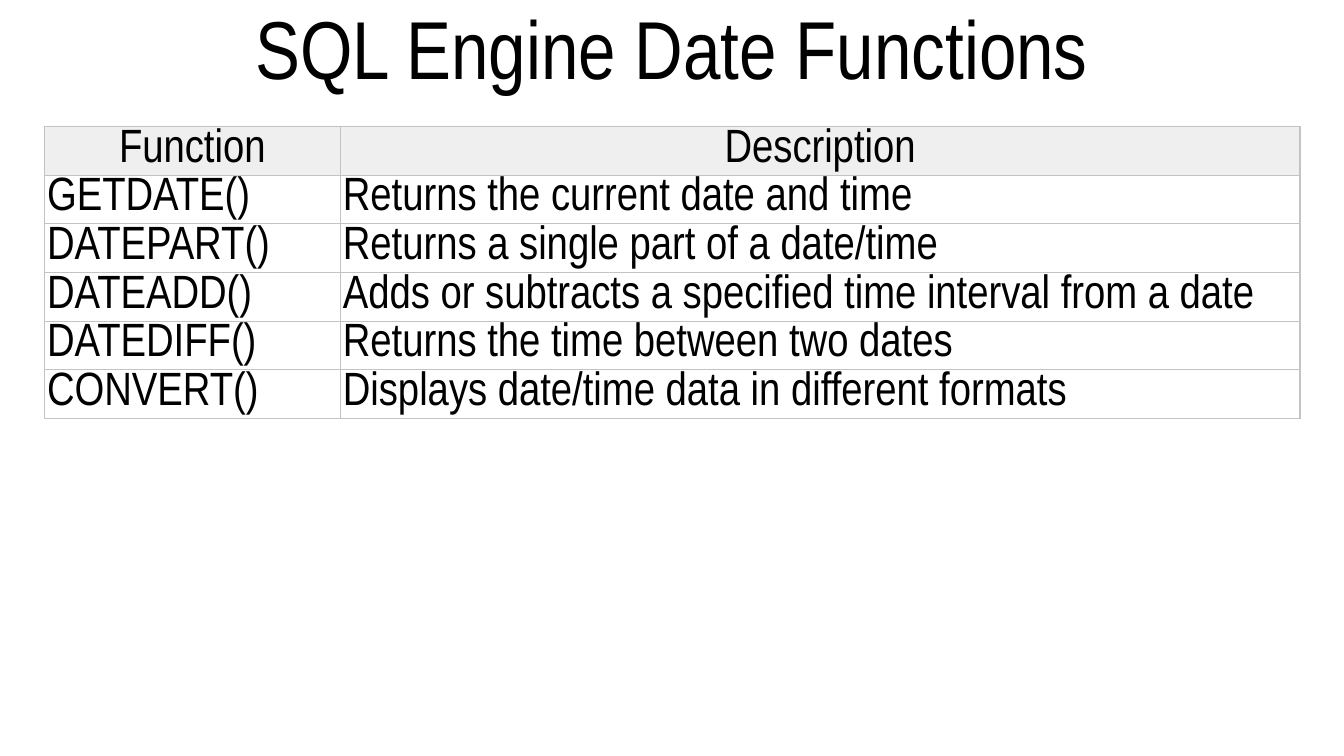
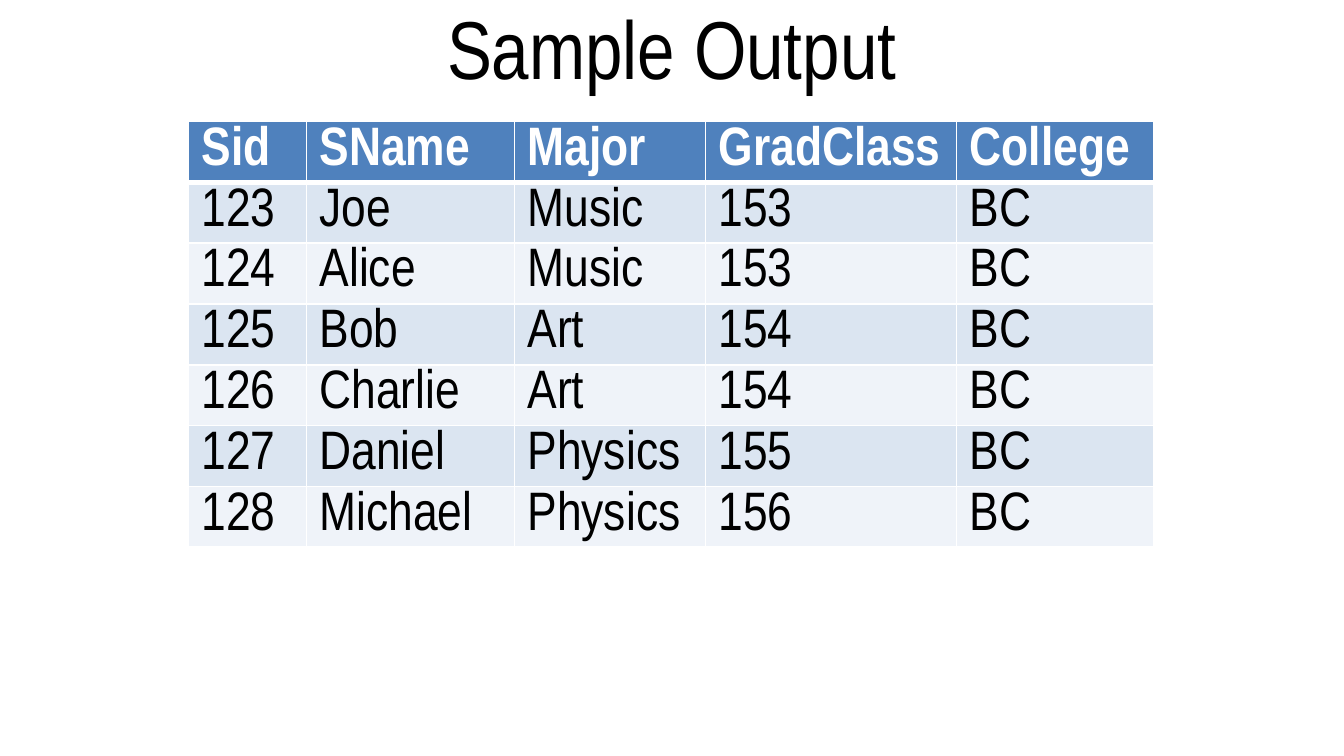
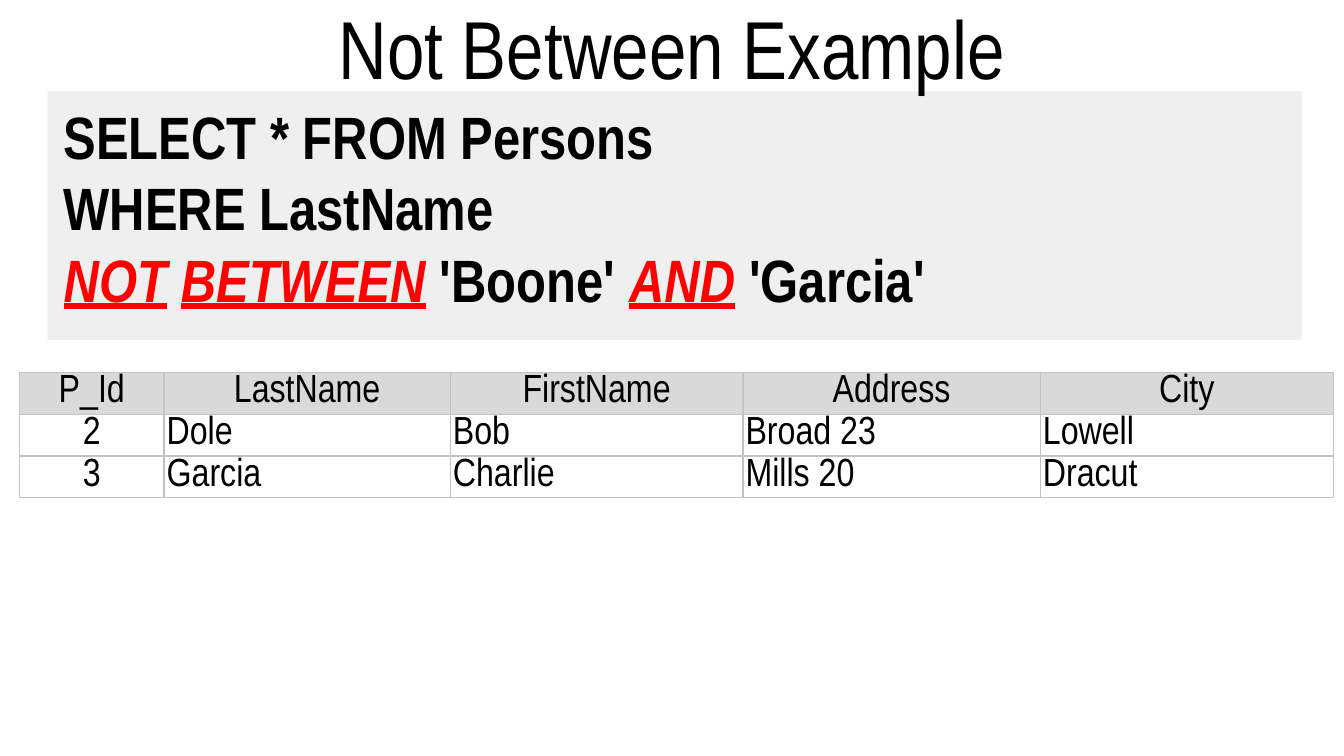
from lxml import etree
from pptx import Presentation
from pptx.dml.color import RGBColor
from pptx.enum.shapes import MSO_SHAPE
from pptx.enum.text import MSO_ANCHOR, MSO_AUTO_SIZE, PP_ALIGN
from pptx.oxml.ns import qn
from pptx.util import Cm, Pt

RECTANGLE = MSO_SHAPE.RECTANGLE
MIDDLE, TOP = MSO_ANCHOR.MIDDLE, MSO_ANCHOR.TOP
NO_AUTOFIT = MSO_AUTO_SIZE.NONE
LEFT, CENTER = PP_ALIGN.LEFT, PP_ALIGN.CENTER

FONT = "Arial Narrow"
BLACK, WHITE, RED = "000000", "FFFFFF", "FF0000"
PALE_GRAY, GRAY, RULE_GRAY = "EFEFEF", "D9D9D9", "C3C3C3"
BLUE, LIGHT_BLUE, PALE_BLUE = "4F81BD", "DBE5F1", "EFF3F9"
SLIDE_WIDTH, SLIDE_HEIGHT, TITLE_HEIGHT = 25.4, 14.29, 1.75
TITLE_ONLY, TITLE_AND_BODY = 5, 1
LINE_TO_SIZE = 0.92

GRID_STYLE = dict(margins=(0.05, 0.05), bands=[WHITE], header_color=BLACK,
                  header_bold=False, header_align=CENTER,
                  border=(RULE_GRAY, 0.75), header_rule=0.75)
BANDED_STYLE = dict(margins=(0.25, 0.1), bands=[LIGHT_BLUE, PALE_BLUE],
                    header_fill=BLUE, header_color=WHITE, header_bold=True,
                    header_align=LEFT, border=(WHITE, 1), header_rule=3)

DATE_FUNCTIONS = dict(
    GRID_STYLE, at=(0.84, 2.39), columns=[5.59, 18.14], row_height=0.92,
    size=25, header_fill=PALE_GRAY, centered=[],
    rows=[
        ("Function", "Description"),
        ("GETDATE()", "Returns the current date and time"),
        ("DATEPART()", "Returns a single part of a date/time"),
        ("DATEADD()", "Adds or subtracts a specified time interval from a date"),
        ("DATEDIFF()", "Returns the time between two dates"),
        ("CONVERT()", "Displays date/time data in different formats"),
    ])

STUDENTS = dict(
    BANDED_STYLE, at=(3.56, 2.3), columns=[2.23, 3.93, 3.61, 4.75, 3.73],
    row_height=1.15, size=29, centered=[],
    rows=[
        ("Sid", "SName", "Major", "GradClass", "College"),
        ("123", "Joe", "Music", "153", "BC"),
        ("124", "Alice", "Music", "153", "BC"),
        ("125", "Bob", "Art", "154", "BC"),
        ("126", "Charlie", "Art", "154", "BC"),
        ("127", "Daniel", "Physics", "155", "BC"),
        ("128", "Michael", "Physics", "156", "BC"),
    ])

PERSONS = dict(
    GRID_STYLE, at=(0.37, 7.04), columns=[2.73, 5.41, 5.53, 5.62, 5.54],
    row_height=0.79, size=21, header_fill=GRAY, centered=[0],
    rows=[
        ("P_Id", "LastName", "FirstName", "Address", "City"),
        ("2", "Dole", "Bob", "Broad 23", "Lowell"),
        ("3", "Garcia", "Charlie", "Mills 20", "Dracut"),
    ])

KEYWORDS = ("NOT", "BETWEEN", "AND")
QUERY_LINES = [
    ["SELECT * FROM Persons"],
    ["WHERE LastName"],
    ["NOT", " ", "BETWEEN", " 'Boone' ", "AND", " 'Garcia'"],
]
QUERY_PANEL = (0.9, 1.73, 23.7, 4.7)

SLIDES = [
    ("SQL Engine Date Functions", None, DATE_FUNCTIONS),
    ("Sample Output", None, STUDENTS),
    ("Not Between Example", QUERY_LINES, PERSONS),
]


def rgb(color):
    return RGBColor.from_string(color)


def style_font(font, size, color=BLACK, bold=False):
    font.name, font.size, font.bold = FONT, Pt(size), bold
    font.color.rgb = rgb(color)


def place(placeholder, top, height, anchor):
    placeholder.left, placeholder.top = Cm(0), Cm(top)
    placeholder.width, placeholder.height = Cm(SLIDE_WIDTH), Cm(height)
    frame = placeholder.text_frame
    frame.word_wrap, frame.auto_size = True, NO_AUTOFIT
    frame.vertical_anchor = anchor
    return frame.paragraphs[0]


def add_title(slide, title):
    heading = place(slide.shapes.title, 0, TITLE_HEIGHT, MIDDLE)
    heading.text, heading.alignment = title, CENTER
    style_font(heading.font, 44)


def add_query(slide, lines):
    panel = slide.shapes.add_shape(RECTANGLE, *map(Cm, QUERY_PANEL))
    panel.shadow.inherit = False
    panel.fill.solid()
    panel.fill.fore_color.rgb = rgb(PALE_GRAY)
    panel.line.fill.background()
    slide.shapes.title.element.addprevious(panel.element)

    query = place(slide.placeholders[1], TITLE_HEIGHT,
                  SLIDE_HEIGHT - TITLE_HEIGHT, TOP)
    properties = query._p.get_or_add_pPr()
    properties.set("marL", str(Cm(0.95)))
    properties.set("indent", "0")
    etree.SubElement(properties, qn("a:buNone"))
    query.space_before = Pt(0)
    style_font(query.font, 32, bold=True)
    for number, line in enumerate(lines):
        if number:
            query.add_line_break()
        for part in line:
            run = query.add_run()
            run.text = part
            if part in KEYWORDS:
                run.font.italic = run.font.underline = True
                run.font.color.rgb = rgb(RED)


def set_borders(cell, color, widths):
    properties = cell._tc.get_or_add_tcPr()
    for position, (side, width) in enumerate(zip("LRTB", widths)):
        line = etree.Element(qn(f"a:ln{side}"), w=str(Pt(width)))
        fill = etree.SubElement(line, qn("a:solidFill"))
        etree.SubElement(fill, qn("a:srgbClr"), val=color)
        properties.insert(position, line)


def add_table(slide, content):
    rows, columns = content["rows"], content["columns"]
    height, size = content["row_height"], content["size"]
    table = slide.shapes.add_table(
        len(rows), len(columns), *map(Cm, content["at"]),
        Cm(sum(columns)), Cm(height * len(rows))).table
    table.first_row = table.horz_banding = False
    for column, width in zip(table.columns, columns):
        column.width = Cm(width)
    side, edge = map(Cm, content["margins"])
    bands = content["bands"]
    border_color, border = content["border"]
    for r, values in enumerate(rows):
        table.rows[r].height = Cm(height)
        header = r == 0
        above = content["header_rule"] if r == 1 else border
        below = content["header_rule"] if header else border
        for c, value in enumerate(values):
            cell = table.cell(r, c)
            cell.margin_left = cell.margin_right = side
            cell.margin_top = cell.margin_bottom = edge
            cell.fill.solid()
            cell.fill.fore_color.rgb = rgb(
                content["header_fill"] if header else bands[(r - 1) % len(bands)])
            set_borders(cell, border_color, (border, border, above, below))
            entry = cell.text_frame.paragraphs[0]
            entry.text = value
            entry.line_spacing = Pt(round(size * LINE_TO_SIZE, 1))
            body_align = CENTER if c in content["centered"] else LEFT
            entry.alignment = content["header_align"] if header else body_align
            style_font(entry.font, size,
                       content["header_color"] if header else BLACK,
                       header and content["header_bold"])


def main():
    deck = Presentation()
    deck.slide_width, deck.slide_height = Cm(SLIDE_WIDTH), Cm(SLIDE_HEIGHT)
    for title, query, table in SLIDES:
        layout = TITLE_AND_BODY if query else TITLE_ONLY
        slide = deck.slides.add_slide(deck.slide_layouts[layout])
        add_title(slide, title)
        if query:
            add_query(slide, query)
        add_table(slide, table)
    deck.save("out.pptx")


if __name__ == "__main__":
    main()
